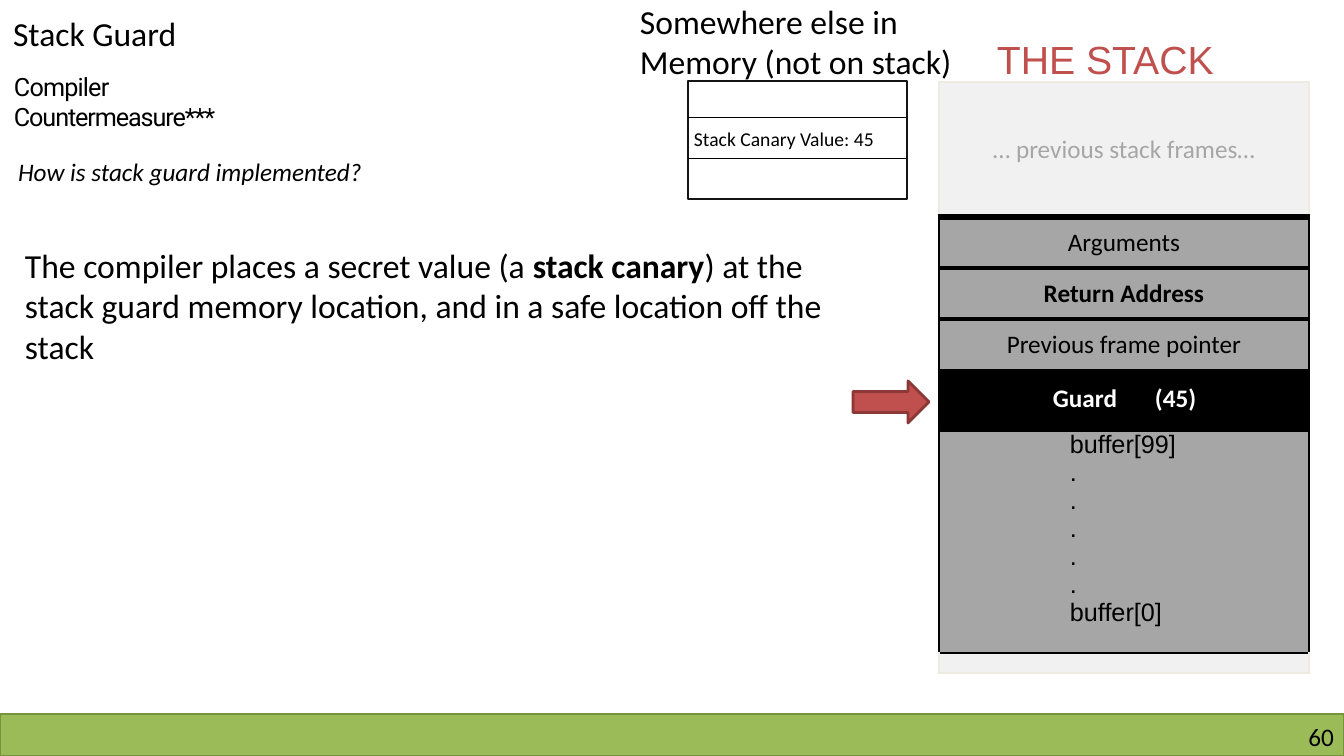
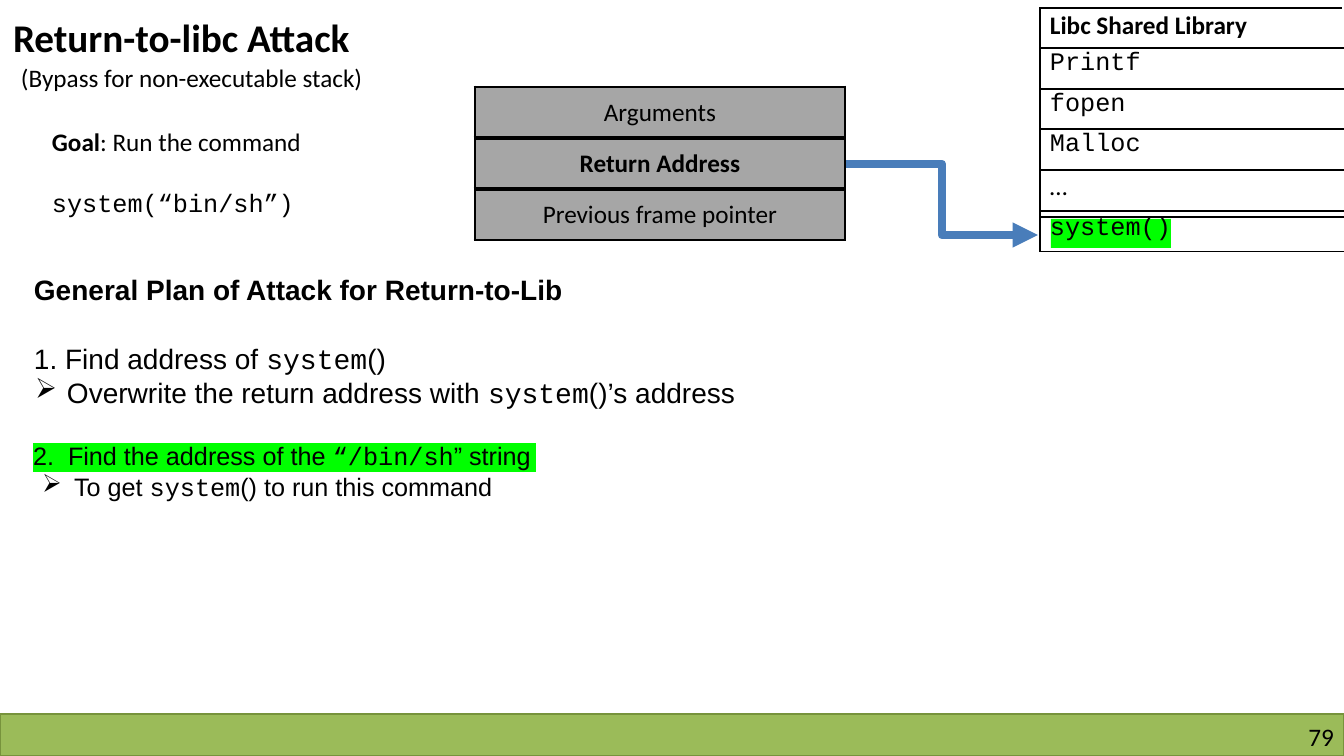
from lxml import etree
from pptx import Presentation
from pptx.dml.color import RGBColor
from pptx.enum.shapes import MSO_CONNECTOR, MSO_SHAPE
from pptx.enum.text import MSO_ANCHOR, MSO_AUTO_SIZE, PP_ALIGN
from pptx.oxml.ns import qn
from pptx.util import Pt

RECT, ARROW = MSO_SHAPE.RECTANGLE, MSO_SHAPE.RIGHT_ARROW
LINE, ELBOW = MSO_CONNECTOR.STRAIGHT, MSO_CONNECTOR.ELBOW
TOP, MID = MSO_ANCHOR.TOP, MSO_ANCHOR.MIDDLE
LEFT, CENTER, RIGHT = PP_ALIGN.LEFT, PP_ALIGN.CENTER, PP_ALIGN.RIGHT
PX = 914400 / 100.8


class Theme:
    ink = RGBColor.from_string("000000")
    white = RGBColor.from_string("FFFFFF")
    red = RGBColor.from_string("C0504D")
    maroon = RGBColor.from_string("8B3836")
    leaf = RGBColor.from_string("9BBB59")
    moss = RGBColor.from_string("77933C")
    lime = RGBColor.from_string("00FF00")
    blue = RGBColor.from_string("497DBA")
    gray = RGBColor.from_string("A6A6A6")
    pale = RGBColor.from_string("F1F1F1")
    cream = RGBColor.from_string("EDEBE0")
    frame = RGBColor.from_string("151414")
    tiny, note, body, plan, lead, head = (Pt(n) for n in (1, 14, 18, 20, 24, 28))
    sans, arial, code, robot = "Calibri", "Arial", "Courier New", "Roboto"


base = {"name": Theme.sans, "size": Theme.body, "color": Theme.ink}
arial = {**base, "name": Theme.arial}
plan = {**arial, "size": Theme.plan}
lead = {**base, "size": Theme.lead}
bold = {"bold": True}
code = {"name": Theme.code}
mid = {"alignment": CENTER}
point = {"bullet": "➢"}


def put(frame, paras, style):
    for i, (runs, form) in enumerate(paras):
        para = frame.add_paragraph() if i else frame.paragraphs[0]
        props = para._p.get_or_add_pPr()
        for key, val in form.items():
            if key == "bullet":
                props.set("marL", str(int(33 * PX)))
                props.set("indent", str(int(-32 * PX)))
                etree.SubElement(props, qn("a:buChar"), char=val)
            elif key == "tab":
                tabs = etree.SubElement(props, qn("a:tabLst"))
                etree.SubElement(tabs, qn("a:tab"), pos=str(int(val * PX)), algn="l")
            else:
                setattr(para, key, val)
        for text, look in runs:
            run = para.add_run()
            run.text = text
            for key, val in {**style, **look}.items():
                if key == "color":
                    run.font.color.rgb = val
                elif key == "spc":
                    run._r.get_or_add_rPr().set("spc", str(val))
                else:
                    setattr(run.font, key, val)
        if not runs:
            etree.SubElement(para._p, qn("a:endParaRPr"), sz=str(int(Theme.tiny.pt * 100)))


def grid(slide, left, top, width, rows):
    tall = sum(row["high"] for row in rows)
    box = [int(n * PX) for n in (left, top, width, tall)]
    table = slide.shapes.add_table(len(rows), 1, *box).table
    table.first_row = table.horz_banding = False
    for i, row in enumerate(rows):
        table.rows[i].height = int(row["high"] * PX)
        cell = table.cell(i, 0)
        props = cell._tc.get_or_add_tcPr()
        for side in "LRTB":
            if side in row["edges"]:
                color, wide = row["edges"][side]
                line = etree.SubElement(props, qn("a:ln" + side), w=str(int(Pt(wide))))
                fill = etree.SubElement(line, qn("a:solidFill"))
                etree.SubElement(fill, qn("a:srgbClr"), val=str(color))
        if row.get("fill") is None:
            cell.fill.background()
        else:
            cell.fill.solid()
            cell.fill.fore_color.rgb = row["fill"]
        cell.vertical_anchor = row.get("anchor", MID)
        for side in ("left", "top", "right", "bottom"):
            setattr(cell, "margin_" + side, int(row.get(side, 0) * PX))
        put(cell.text_frame, row.get("paras", [([], {})]), row.get("style", base))


deck = Presentation()
deck.slide_width, deck.slide_height = int(1344 * PX), int(756 * PX)
slides = []
for name, look in (
    ("Stack Guard", {"size": Theme.lead}),
    ("Return-to-libc Attack", {"size": Theme.head, "bold": True}),
):
    slide = deck.slides.add_slide(deck.slide_layouts[5])
    title = slide.shapes.title
    title.left, title.top, title.width, title.height = (int(n * PX) for n in (13, 13, 420, 48))
    for key, val in {"auto_size": MSO_AUTO_SIZE.NONE, "vertical_anchor": TOP, "margin_left": 0,
                     "margin_top": 0, "margin_right": 0, "margin_bottom": 0}.items():
        setattr(title.text_frame, key, val)
    put(title.text_frame, [([(name, look)], {"alignment": LEFT})], base)
    slides.append(slide)
guard, libc = slides

step = [([("2.\tFind the address of the ", {}), ("“/bin/sh", code), ("” string", {})],
         {"tab": 35, "alignment": LEFT, "line_spacing": Pt(19.8)})]
band = (RECT, (0, 714, 1344, 42), Theme.leaf, Theme.moss, 1, [])
for slide, (kind, box, fill, edge, wide, paras) in (
    (guard, band),
    (libc, band),
    (guard, (ARROW, (853, 381, 76, 42), Theme.red, Theme.maroon, 2, [])),
    (guard, (RECT, (688, 81, 219, 118), None, Theme.frame, 2, [])),
    (libc, (RECT, (1051, 219, 120, 29), Theme.lime, None, 0, [])),
    (libc, (RECT, (33, 443, 503, 29), Theme.lime, None, 0, step)),
):
    shape = slide.shapes.add_shape(kind, *(int(n * PX) for n in box))
    shape.shadow.inherit = False
    if fill is None:
        shape.fill.background()
    else:
        shape.fill.solid()
        shape.fill.fore_color.rgb = fill
    if edge is None:
        shape.line.fill.background()
    else:
        shape.line.color.rgb = edge
        shape.line.width = Pt(wide)
    if paras:
        text = shape.text_frame
        text.margin_left = text.margin_top = text.margin_right = text.margin_bottom = 0
        text.vertical_anchor = TOP
        put(text, paras, arial)

for slide, kind, ends, color, wide in (
    (guard, LINE, (688, 118, 907, 118), Theme.ink, 0.75),
    (guard, LINE, (688, 159, 907, 159), Theme.ink, 0.75),
    (libc, ELBOW, (846, 164, 1038, 235), Theme.blue, 6),
):
    link = slide.shapes.add_connector(kind, *(int(n * PX) for n in ends))
    link.line.color.rgb = color
    link.line.width = Pt(wide)
    if kind == ELBOW:
        etree.SubElement(link.line._get_or_add_ln(), qn("a:tailEnd"), type="triangle")
    etree.SubElement(link._element.spPr, qn("a:effectLst"))

rim = {side: (Theme.cream, 2.25) for side in "LRTB"}
wall = {side: (Theme.ink, 2.25) for side in "LRTB"}
thick, heavy = (Theme.ink, 3), (Theme.ink, 4.5)
calls = [
    {"high": 51, "paras": [([(text, look)], mid)], "fill": Theme.gray, "edges": {**wall, **edges}}
    for text, look, edges in (
        ("Arguments", {}, {"B": thick}),
        ("Return Address", bold, {"T": thick, "B": thick}),
        ("Previous frame pointer", {}, {"T": thick}),
    )
]
first = {**calls[0], "edges": {**calls[0]["edges"], "T": heavy}}
slots = ["buffer[99]"] + ["."] * 5 + ["buffer[0]"]
grid(guard, 939, 82, 370, [
    {"high": 135, "paras": [([("… previous stack frames…", {"color": Theme.gray})], mid)],
     "fill": Theme.pale, "edges": {**rim, "B": heavy}},
    first, *calls[1:],
    {"high": 61, "paras": [([("Guard\t(45)", {"color": Theme.white, **bold})], {"tab": 102})],
     "fill": Theme.ink, "edges": wall, "left": 114, "bottom": 4},
    {"high": 222, "paras": [([(text, {})], {"line_spacing": Pt(20)}) for text in slots],
     "style": arial, "fill": Theme.gray, "edges": wall, "left": 131, "anchor": TOP},
    {"high": 20, "fill": Theme.pale, "edges": {**rim, "T": wall["T"]}},
])
grid(libc, 475, 87, 370, calls)

thin = {side: (Theme.ink, 1) for side in "LTB"}
names = [("Libc Shared Library", bold, 40), ("Printf", code, 41), ("fopen", code, 40),
         ("Malloc", code, 41), ("…", {}, 41)]
cell = {"edges": thin, "anchor": TOP, "left": 10}
grid(libc, 1040, 8, 303, [
    *({**cell, "top": 2, "high": high, "paras": [([(text, look)], {})]}
      for text, look, high in names),
    {**cell, "high": 6},
    {**cell, "high": 35, "paras": [([("system()", code)], {"line_spacing": Pt(18.6)})]},
])

for slide, box, style, paras in (
    (guard, (1025, 721, 309, 30), base, [([("60", {})], {"alignment": RIGHT})]),
    (libc, (1025, 721, 309, 30), base, [([("79", {})], {"alignment": RIGHT})]),
    (guard, (997, 35, 240, 46), {**arial, "size": Theme.head, "color": Theme.red},
     [([("THE STACK", {})], {})]),
    (guard, (14, 71, 230, 62), {**base, "name": Theme.robot},
     [([("Compiler ", {"spc": -60}), ("Countermeasure***", {"spc": -80})], {})]),
    (guard, (18, 156, 390, 32), {**base, "italic": True},
     [([("How is stack guard implemented?", {})], {})]),
    (guard, (694, 127, 212, 26), {**base, "size": Theme.note},
     [([("Stack Canary Value: 45", {})], {})]),
    (guard, (640, 1, 366, 82), lead,
     [([("Somewhere else in Memory (not on stack)", {})], {})]),
    (guard, (25, 245, 814, 124), lead,
     [([("The compiler places a secret value (a ", {}), ("stack canary", bold),
        (") at the stack guard memory location, and in a safe location off the stack", {})], {})]),
    (libc, (21, 62, 400, 32), base, [([("(Bypass for non-executable stack)", {})], {})]),
    (libc, (52, 126, 300, 92), base,
     [([("Goal", bold), (": Run the command", {})], {}),
      ([("system(“bin/sh”)", code)], {"space_before": Pt(22)})]),
    (libc, (34, 273, 1270, 140), plan,
     [([("General Plan of Attack for Return-to-Lib", bold)], {}),
      ([("1. Find address of ", {}), ("system", code), ("()", {})], {"space_before": Pt(25)}),
      ([("Overwrite the return address with ", {}), ("system", code), ("()’s address", {})],
       point)]),
    (libc, (41, 471, 470, 32), arial,
     [([("To get ", {}), ("system", code), ("() to run this command", {})], point)]),
):
    text = slide.shapes.add_textbox(*(int(n * PX) for n in box)).text_frame
    text.word_wrap = True
    text.margin_left = text.margin_top = text.margin_right = text.margin_bottom = 0
    put(text, paras, style)

deck.save("out.pptx")
